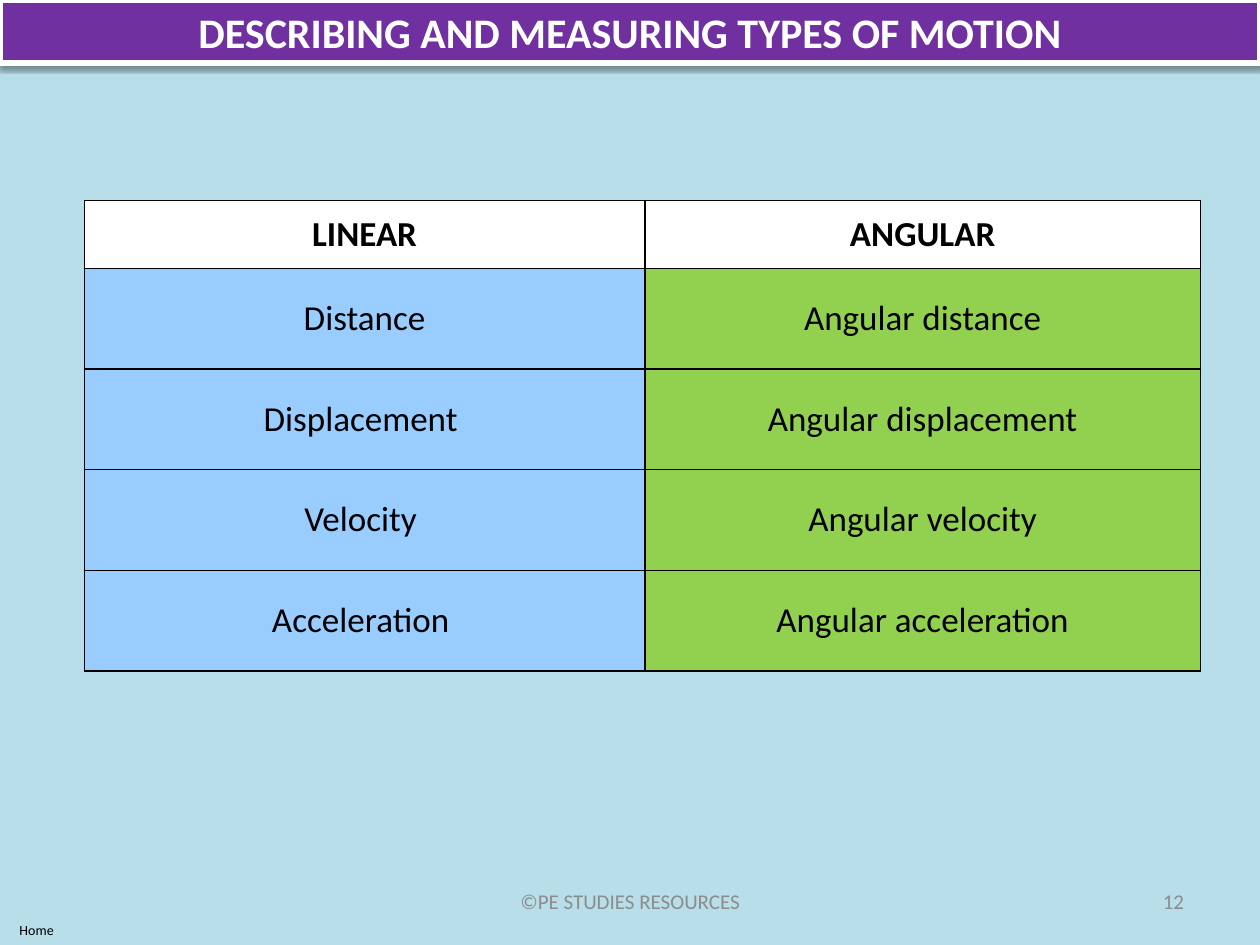
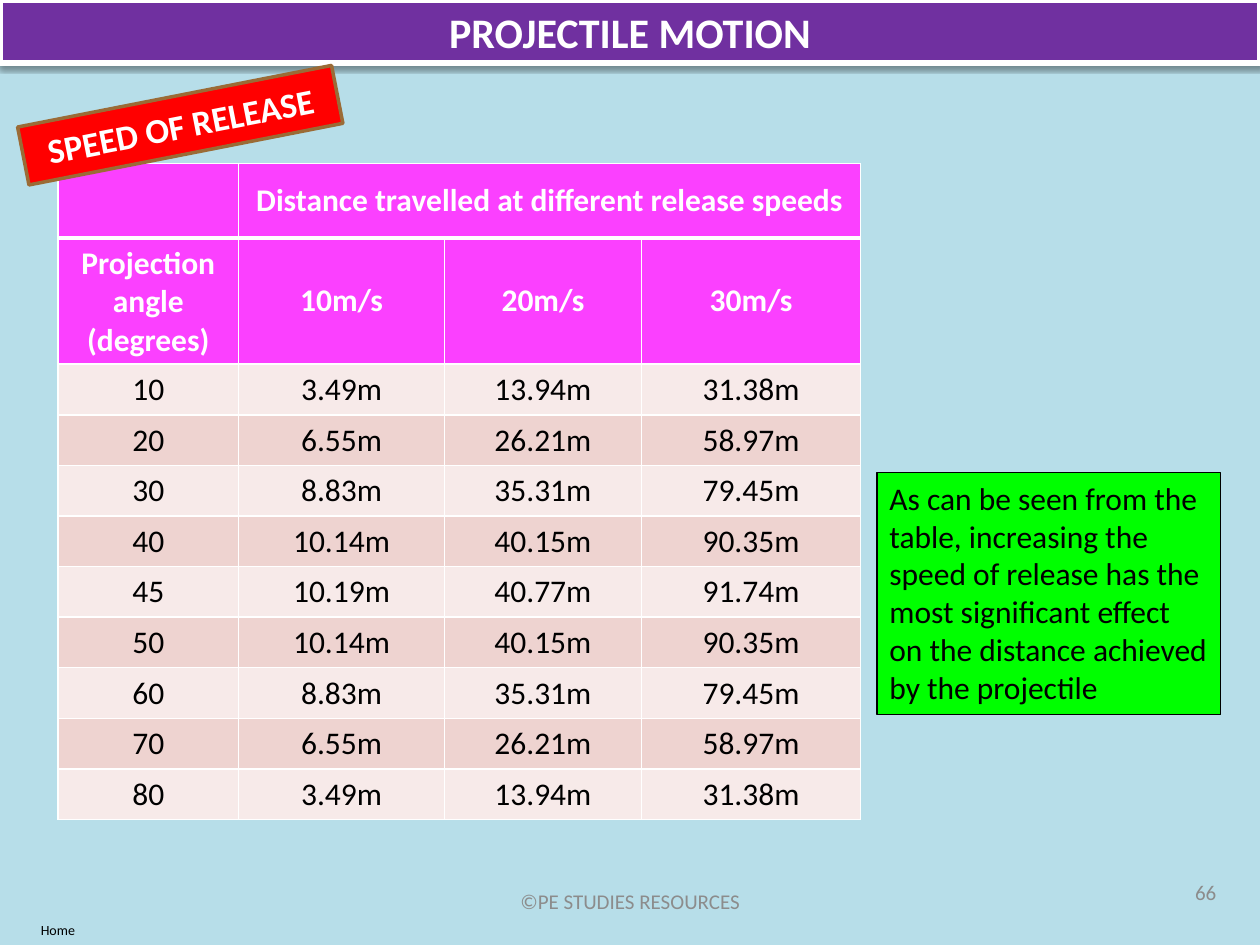
from lxml.etree import SubElement
from pptx import Presentation
from pptx.dml.color import RGBColor
from pptx.enum.shapes import MSO_SHAPE
from pptx.enum.text import MSO_ANCHOR, MSO_AUTO_SIZE, PP_ALIGN
from pptx.oxml import parse_xml
from pptx.oxml.ns import nsdecls, qn
from pptx.util import Cm, Pt

FONT = "Calibri"
BLACK = RGBColor(0x00, 0x00, 0x00)
WHITE = RGBColor(0xFF, 0xFF, 0xFF)
GREY = RGBColor(0x8C, 0x8C, 0x8C)
PALE_BLUE = RGBColor(0xB7, 0xDE, 0xE9)
PURPLE = RGBColor(0x70, 0x30, 0xA0)
SKY = RGBColor(0x99, 0xCC, 0xFF)
LEAF = RGBColor(0x92, 0xD0, 0x50)
MAGENTA = RGBColor(0xFB, 0x40, 0xFF)
LIGHT_ROSE = RGBColor(0xF7, 0xEA, 0xE9)
ROSE = RGBColor(0xEE, 0xD3, 0xD0)
RED = RGBColor(0xFF, 0x00, 0x00)
BROWN = RGBColor(0x9B, 0x6B, 0x36)
LIME = RGBColor(0x00, 0xFF, 0x00)

TITLE_ONLY_LAYOUT = 5
SLIDE_WIDTH, SLIDE_HEIGHT = Cm(25.4), Cm(19.05)

QUANTITIES = [
    ("LINEAR", "ANGULAR"),
    ("Distance", "Angular distance"),
    ("Displacement ", "Angular displacement"),
    ("Velocity ", "Angular velocity"),
    ("Acceleration ", "Angular acceleration"),
]
RELEASE_SPEEDS = ("10m/s", "20m/s", "30m/s")
DISTANCES_BY_ANGLE = {
    10: ("3.49", "13.94", "31.38"),
    20: ("6.55", "26.21", "58.97"),
    30: ("8.83", "35.31", "79.45"),
    40: ("10.14", "40.15", "90.35"),
    45: ("10.19", "40.77", "91.74"),
    50: ("10.14", "40.15", "90.35"),
    60: ("8.83", "35.31", "79.45"),
    70: ("6.55", "26.21", "58.97"),
    80: ("3.49", "13.94", "31.38"),
}


def write_text(text_frame, text, size, color, bold=False, align=PP_ALIGN.CENTER):
    text_frame.text = text
    paragraph = text_frame.paragraphs[0]
    paragraph.alignment = align
    for run in paragraph.runs:
        run.font.name = FONT
        run.font.size = Pt(size)
        run.font.bold = bold
        run.font.color.rgb = color


def paint(shape, fill, line, line_width):
    shape.fill.solid()
    shape.fill.fore_color.rgb = fill
    shape.line.color.rgb = line
    shape.line.width = Pt(line_width)


def add_soft_shadow(shape):
    shape._element.spPr.append(parse_xml(
        f'<a:effectLst {nsdecls("a")}>'
        '<a:outerShdw blurRad="40000" dist="20000" dir="5400000" rotWithShape="0">'
        '<a:srgbClr val="000000"><a:alpha val="38000"/></a:srgbClr>'
        '</a:outerShdw></a:effectLst>'))


def add_label(slide, text, left, top, width, height, size, color, align=PP_ALIGN.CENTER):
    label = slide.shapes.add_textbox(left, top, width, height)
    label.text_frame.word_wrap = True
    label.text_frame.vertical_anchor = MSO_ANCHOR.MIDDLE
    write_text(label.text_frame, text, size, color, align=align)


def add_box(slide, text, left, top, width, height, fill, line, line_width):
    box = slide.shapes.add_shape(MSO_SHAPE.RECTANGLE, left, top, width, height)
    box.shadow.inherit = False
    paint(box, fill, line, line_width)
    box.text_frame.word_wrap = True
    return box


def add_titled_slide(presentation, title_text, number, number_left, number_top, home_left):
    """Add a slide with the purple title band, footer, page number and Home label."""
    slide = presentation.slides.add_slide(presentation.slide_layouts[TITLE_ONLY_LAYOUT])
    title = slide.shapes.title
    title.left, title.top, title.width, title.height = 0, 0, SLIDE_WIDTH, Cm(1.27)
    paint(title, PURPLE, WHITE, 3)
    add_soft_shadow(title)
    title.text_frame.auto_size = MSO_AUTO_SIZE.NONE
    title.text_frame.vertical_anchor = MSO_ANCHOR.MIDDLE
    write_text(title.text_frame, title_text, 24, WHITE, bold=True)

    add_label(slide, number, number_left, number_top, Cm(5.92), Cm(1.02),
              12, GREY, PP_ALIGN.RIGHT)
    add_label(slide, "©PE STUDIES RESOURCES", Cm(8.68), Cm(17.65), Cm(8.05), Cm(1.02),
              12, GREY)
    add_label(slide, "Home", home_left, Cm(18.45), Cm(2.34), Cm(0.6), 8, BLACK)
    return slide


def set_cell_border(cell, color, bottom_width=1):
    properties = cell._tc.get_or_add_tcPr()
    for side, width in (("L", 1), ("R", 1), ("T", 1), ("B", bottom_width)):
        line = SubElement(properties, qn(f"a:ln{side}"), w=str(Pt(width)))
        SubElement(SubElement(line, qn("a:solidFill")), qn("a:srgbClr"), val=str(color))


def style_cell(cell, text, size, color, bold, fill, border, bottom_width=1):
    set_cell_border(cell, border, bottom_width)
    cell.fill.solid()
    cell.fill.fore_color.rgb = fill
    cell.vertical_anchor = MSO_ANCHOR.MIDDLE
    if text:
        write_text(cell.text_frame, text, size, color, bold)


def add_plain_table(slide, left, top, column_widths, row_heights):
    """Add a table without banding, its columns and rows sized in centimetres."""
    table = slide.shapes.add_table(
        len(row_heights), len(column_widths), left, top,
        Cm(sum(column_widths)), Cm(sum(row_heights))).table
    table.first_row = table.horz_banding = False
    for column, width in zip(table.columns, column_widths):
        column.width = Cm(width)
    for row, height in zip(table.rows, row_heights):
        row.height = Cm(height)
    return table


def add_quantities_table(slide):
    table = add_plain_table(slide, Cm(1.7), Cm(4.04), [11.3, 11.2], [1.37] + [2.03] * 4)
    for row, texts in enumerate(QUANTITIES):
        is_header = row == 0
        fills = (WHITE, WHITE) if is_header else (SKY, LEAF)
        for column, (text, fill) in enumerate(zip(texts, fills)):
            style_cell(table.cell(row, column), text, 20, BLACK, is_header, fill, BLACK)


def add_distances_table(slide):
    rows = [("", "Distance travelled at different release speeds", "", ""),
            ("Projection angle (degrees)", *RELEASE_SPEEDS)]
    for angle, distances in DISTANCES_BY_ANGLE.items():
        rows.append((str(angle), *(f"{distance}m" for distance in distances)))

    table = add_plain_table(slide, Cm(1.17), Cm(3.3), [3.64, 4.15, 3.97, 4.42],
                            [1.5, 2.54] + [1.02] * len(DISTANCES_BY_ANGLE))
    table.cell(0, 1).merge(table.cell(0, 3))
    for row, texts in enumerate(rows):
        is_header = row < 2
        band = ROSE if row % 2 else LIGHT_ROSE
        for column, text in enumerate(texts):
            style_cell(table.cell(row, column), text, 18,
                       WHITE if is_header else BLACK, is_header,
                       MAGENTA if is_header else band, WHITE,
                       bottom_width=3 if row == 0 else 1)


def add_release_speed_tag(slide):
    tag = add_box(slide, "SPEED OF RELEASE", Cm(0.41), Cm(1.93), Cm(6.45), Cm(1.19),
                  RED, BROWN, 2)
    tag.rotation = 348.9
    tag.text_frame.vertical_anchor = MSO_ANCHOR.MIDDLE
    write_text(tag.text_frame, "SPEED OF RELEASE", 20, WHITE, bold=True)


def add_conclusion(slide):
    text = ("As can be seen from the table, increasing the speed of release has the most "
            "significant effect on the distance achieved by the projectile")
    box = add_box(slide, text, Cm(17.68), Cm(9.53), Cm(6.93), Cm(4.88), LIME, BLACK, 0.75)
    box.text_frame.vertical_anchor = MSO_ANCHOR.TOP
    write_text(box.text_frame, text, 18, BLACK, align=PP_ALIGN.LEFT)


def main():
    presentation = Presentation()
    presentation.slide_width, presentation.slide_height = SLIDE_WIDTH, SLIDE_HEIGHT
    background = presentation.slide_master.background.fill
    background.solid()
    background.fore_color.rgb = PALE_BLUE

    motion_types = add_titled_slide(
        presentation, "DESCRIBING AND MEASURING TYPES OF MOTION", "12",
        Cm(18.2), Cm(17.65), Cm(-0.43))
    add_quantities_table(motion_types)

    projectile_motion = add_titled_slide(
        presentation, "PROJECTILE MOTION", "66", Cm(18.85), Cm(17.48), Cm(0))
    add_distances_table(projectile_motion)
    add_release_speed_tag(projectile_motion)
    add_conclusion(projectile_motion)

    presentation.save("out.pptx")


if __name__ == "__main__":
    main()
